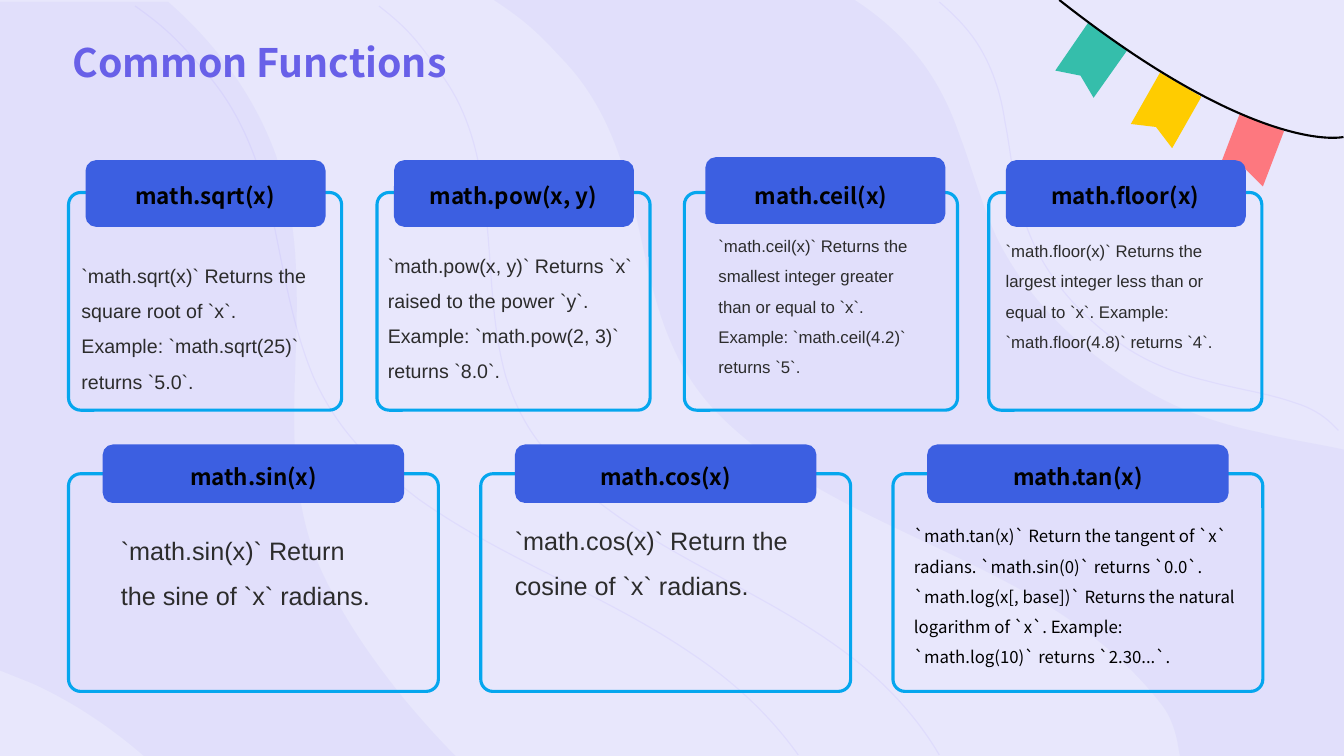
from pptx import Presentation
from pptx import util as u
from pptx.dml.color import RGBColor
from pptx.enum import shapes, text
from pptx.oxml.ns import qn
from lxml import etree

BACKGROUND = RGBColor(0xE8, 0xE7, 0xFC)
TITLE_PURPLE = RGBColor(0x68, 0x60, 0xE8)
WAVE_PURPLE = RGBColor(0x63, 0x53, 0xEF)
THREAD_PURPLE = RGBColor(0x59, 0x3C, 0xFC)
FRAME_BLUE = RGBColor(0x05, 0xA6, 0xEE)
HEADER_BLUE = RGBColor(0x3C, 0x5F, 0xE1)
BODY_GREY = RGBColor(0x2C, 0x2C, 0x2C)
BLACK = RGBColor(0, 0, 0)
RED = RGBColor(0xFD, 0x78, 0x7F)
YELLOW = RGBColor(0xFF, 0xCC, 0x00)
GREEN = RGBColor(0x35, 0xBE, 0xAB)

HEADING_FONT = "Noto Sans CJK SC"
BODY_FONT = "Arial"
UNIT = 2.54  # centimetres in one layout unit

# Outlines: a start point, then lines (x, y) and Bezier curves (six numbers)
WAVES = [
    [(8.48, 0), (4.9, 0), (5.25, 0.23, 5.36, 0.35, 5.63, 0.64),
     (5.99, 1.04, 6.16, 1.52, 6.28, 2.01), (6.4, 2.5, 6.47, 3, 6.69, 3.47),
     (6.8, 3.71, 6.95, 3.93, 7.14, 4.12), (7.32, 4.3, 7.52, 4.46, 7.74, 4.61),
     (8.59, 5.18, 9.62, 5.51, 10.48, 6.06), (10.9, 6.33, 11.26, 6.64, 11.54, 7.01),
     (11.6, 7.09, 11.65, 7.21, 11.68, 7.35), (11.71, 7.52), (13.35, 7.52),
     (13.35, 4.46), (13.33, 4.46),
     (13.06, 4.4, 12.77, 4.36, 12.5, 4.29), (12.12, 4.21, 11.75, 4.09, 11.42, 3.9),
     (10.77, 3.53, 10.21, 3, 9.9, 2.38), (9.74, 2.04, 9.65, 1.68, 9.52, 1.34),
     (9.41, 1.02, 9.25, 0.71, 9.01, 0.45), (8.86, 0.28, 8.68, 0.13, 8.48, 0)],
    [(1.67, 0.02), (-0.03, 0.02), (-0.03, 6.64), (0.02, 6.66),
     (0.12, 6.7, 0.22, 6.74, 0.32, 6.78), (0.74, 6.97, 1.12, 7.23, 1.45, 7.52),
     (4.55, 7.52), (4.52, 7.5),
     (4.35, 7.33, 4.19, 7.15, 4.03, 6.96), (3.72, 6.58, 3.44, 6.18, 3.23, 5.75),
     (3, 5.29, 2.93, 4.78, 2.92, 4.28), (2.91, 3.78, 2.96, 3.27, 2.94, 2.76),
     (2.93, 2.34, 2.87, 1.93, 2.73, 1.52), (2.52, 0.95, 2.15, 0.44, 1.67, 0.02)],
]
THREADS = [
    [(7.92, 7.49), (7.64, 7.1, 7.29, 6.77, 6.87, 6.49),
     (6.01, 5.9, 4.99, 5.55, 4.15, 4.95), (3.94, 4.79, 3.74, 4.62, 3.56, 4.43),
     (3.37, 4.22, 3.22, 3.99, 3.11, 3.74), (2.9, 3.24, 2.82, 2.71, 2.71, 2.19),
     (2.59, 1.67, 2.42, 1.16, 2.06, 0.74), (1.79, 0.43, 1.68, 0.3, 1.34, 0.06)],
    [(9.32, 0.02), (9.46, 0.14, 9.59, 0.27, 9.69, 0.42),
     (9.84, 0.65, 9.93, 0.92, 9.97, 1.2), (10.03, 1.5, 10.05, 1.81, 10.14, 2.1),
     (10.29, 2.65, 10.67, 3.11, 11.16, 3.44), (11.4, 3.6, 11.68, 3.71, 11.98, 3.78),
     (12.27, 3.86, 12.58, 3.9, 12.86, 4), (12.99, 4.04, 13.12, 4.11, 13.22, 4.21),
     (13.24, 4.23, 13.26, 4.25, 13.28, 4.27)],
    [(9.32, 7.49), (9.09, 7.1, 8.78, 6.77, 8.41, 6.49),
     (7.63, 5.9, 6.65, 5.55, 5.9, 4.95), (5.71, 4.79, 5.53, 4.62, 5.38, 4.43),
     (5.21, 4.22, 5.1, 3.99, 5.02, 3.74), (4.88, 3.24, 4.88, 2.71, 4.83, 2.19),
     (4.78, 1.67, 4.69, 1.16, 4.38, 0.74), (4.16, 0.43, 4.07, 0.3, 3.76, 0.06)],
]
FLAGS = [
    (RED, [(12.74, 1.3), (12.53, 1.85), (12.35, 1.67), (12.09, 1.68), (12.3, 1.13)]),
    (YELLOW, [(11.92, 0.96), (11.63, 1.47), (11.47, 1.26), (11.22, 1.23), (11.51, 0.72)]),
    (GREEN, [(11.19, 0.49), (10.85, 0.97), (10.72, 0.75), (10.47, 0.7), (10.8, 0.22)]),
]
STRING = [(13.33, 1.36), (13.11, 1.4, 12.21, 1.34, 10.51, 0)]

# Cards: function, frame left, header shift, body box, body format, body
TOP_CARDS = [
    ("math.sqrt(x)", 0.68, (0, 0), (0.71, 2.45, 2.57, 1.47), {"size": 14},
     "`math.sqrt(x)` Returns the square root of `x`. "
     "Example: `math.sqrt(25)` returns `5.0`."),
    ("math.pow(x, y)", 3.74, (0, 0), (3.75, 2.35, 2.76, 1.46), {"size": 14},
     "`math.pow(x, y)` Returns `x` raised to the power `y`. "
     "Example: `math.pow(2, 3)` returns `8.0`."),
    ("math.ceil(x)", 6.79, (0.04, -0.03), (7.03, 2.19, 2.26, 1.88), {"size": 12},
     "`math.ceil(x)` Returns the smallest integer greater than or equal to `x`. "
     "Example: `math.ceil(4.2)` returns `5`."),
    ("math.floor(x)", 9.81, (0, 0), (9.88, 2.24, 2.6, 1.58), {"size": 12},
     "`math.floor(x)` Returns the largest integer less than or equal to `x`. "
     "Example: `math.floor(4.8)` returns `4`."),
]
BOTTOM_CARDS = [
    ("math.sin(x)", 0.68, (0, 0), (1.1, 5.11, 2.71, 1.41), {"size": 18},
     "`math.sin(x)` Return the sine of `x` radians."),
    ("math.cos(x)", 4.77, (0, 0), (5.01, 5.01, 3.01, 1.39), {"size": 18},
     "`math.cos(x)` Return the cosine of `x` radians."),
    ("math.tan(x)", 8.86, (0, 0), (8.97, 5.07, 3.47, 1.58),
     {"size": 12, "font": HEADING_FONT, "color": BLACK},
     "`math.tan(x)` Return the tangent of `x` radians. `math.sin(0)` returns `0.0`. "
     "`math.log(x[, base])` Returns the natural logarithm of `x`. "
     "Example: `math.log(10)` returns `2.30...`."),
]


def length(units):
    return u.Cm(units * UNIT)


def write_text(frame, content, size=14, font=BODY_FONT, color=BODY_GREY, bold=False,
               align=text.PP_ALIGN.LEFT, spacing=1.5, anchor=text.MSO_ANCHOR.TOP,
               margins=None, grow=True):
    frame.word_wrap = True
    frame.auto_size = (text.MSO_AUTO_SIZE.SHAPE_TO_FIT_TEXT if grow
                       else text.MSO_AUTO_SIZE.NONE)
    frame.vertical_anchor = anchor
    if margins is not None:
        frame.margin_left = frame.margin_right = u.Cm(margins)
        frame.margin_top = frame.margin_bottom = u.Cm(margins)
    paragraph = frame.paragraphs[0]
    paragraph.alignment = align
    paragraph.line_spacing = spacing
    run = paragraph.add_run()
    run.text = content
    run.font.size = u.Pt(size)
    run.font.name = font
    run.font.bold = bold
    run.font.color.rgb = color


class SlideBuilder:
    heading = {"font": HEADING_FONT, "bold": True,
               "anchor": text.MSO_ANCHOR.MIDDLE, "margins": 0}

    def __init__(self, presentation):
        self.slide = presentation.slides.add_slide(presentation.slide_layouts[5])
        self.slide.background.fill.solid()
        self.slide.background.fill.fore_color.rgb = BACKGROUND

    def style(self, shape, fill=None, line=None, width=1, opacity=None):
        shape.shadow.inherit = False
        for paint, color in ((shape.fill, fill), (shape.line.fill, line)):
            if color is None:
                paint.background()
            else:
                paint.solid()
                paint.fore_color.rgb = color
        if line is not None:
            shape.line.width = u.Pt(width)
        if opacity is not None:
            for color in shape._element.spPr.iter(qn("a:srgbClr")):
                etree.SubElement(color, qn("a:alpha")).set("val", str(opacity * 1000))

    def outline(self, group, outline, close=True, **style):
        anchors = [(length(segment[-2]), length(segment[-1])) for segment in outline]
        builder = group.shapes.build_freeform(*anchors[0], scale=1.0)
        builder.add_line_segments(anchors[1:], close=close)
        shape = builder.convert_to_shape()
        self.style(shape, **style)
        # Bend the segments that have control points
        left, top = min(x for x, y in anchors), min(y for x, y in anchors)
        lines = list(shape._element.spPr.iter(qn("a:lnTo")))
        for line, segment in zip(lines, outline[1:]):
            if len(segment) == 6:
                curve = etree.Element(qn("a:cubicBezTo"))
                for x, y in zip(segment[::2], segment[1::2]):
                    etree.SubElement(curve, qn("a:pt"), x=str(length(x) - left),
                                     y=str(length(y) - top))
                line.getparent().replace(line, curve)

    def move_to_layout(self, group):
        for number, properties in enumerate(group._element.iter(qn("p:cNvPr")), 100):
            properties.set("id", str(number))
        self.slide.slide_layout.shapes._spTree.insert(2, group._element)

    def rounded(self, box, radius, **style):
        shape = self.slide.shapes.add_shape(shapes.MSO_SHAPE.ROUNDED_RECTANGLE,
                                            *map(length, box))
        shape.adjustments[0] = radius
        self.style(shape, **style)

    def textbox(self, box, content, **style):
        shape = self.slide.shapes.add_textbox(*map(length, box))
        write_text(shape.text_frame, content, **style)

    def title(self, box, content):
        shape = self.slide.shapes.title
        shape.left, shape.top, shape.width, shape.height = map(length, box)
        write_text(shape.text_frame, content, size=28, color=TITLE_PURPLE,
                   spacing=1.25, grow=False, **self.heading)

    def card(self, name, left, top, width, header, radius, label_inset, shift):
        self.rounded((left, top, width, 2.16), 0.056, line=FRAME_BLUE, width=2.25)
        inset, header_top, header_width, header_height = header
        self.rounded((left + inset + shift[0], header_top + shift[1],
                      header_width, header_height),
                     radius, fill=HEADER_BLUE, line=HEADER_BLUE, width=1.5)
        self.textbox((left + label_inset, top - 0.13, width - 2 * label_inset, 0.26), name,
                     size=16, color=BLACK, spacing=1.2, align=text.PP_ALIGN.CENTER,
                     **self.heading)


def main():
    presentation = Presentation()
    presentation.slide_width, presentation.slide_height = u.Cm(33.87), u.Cm(19.05)
    builder = SlideBuilder(presentation)

    # Layout decoration: waves, threads and bunting
    decoration = builder.slide.shapes.add_group_shape()
    for wave in WAVES:
        builder.outline(decoration, wave, fill=WAVE_PURPLE, opacity=5)
    for thread in THREADS:
        builder.outline(decoration, thread, close=False, line=THREAD_PURPLE,
                        width=0.85, opacity=5)
    for color, flag in FLAGS:
        builder.outline(decoration, flag, fill=color)
    builder.outline(decoration, STRING, close=False, line=BLACK, width=1.5)
    builder.move_to_layout(decoration)

    # Cards and title
    rows = [(TOP_CARDS, 1.91, 2.71, (0.18, 1.6, 2.36, 0.64), 0.145, 0.2),
            (BOTTOM_CARDS, 4.7, 3.67, (0.35, 4.42, 2.97, 0.56), 0.164, 0.39)]
    for cards, top, width, header, radius, label_inset in rows:
        for name, left, shift, body_box, body_format, body in cards:
            builder.card(name, left, top, width, header, radius, label_inset, shift)
            builder.textbox(body_box, body, **body_format)
    builder.title((0.72, 0, 11.88, 1.12), "Common Functions")

    presentation.save("out.pptx")


if __name__ == "__main__":
    main()
